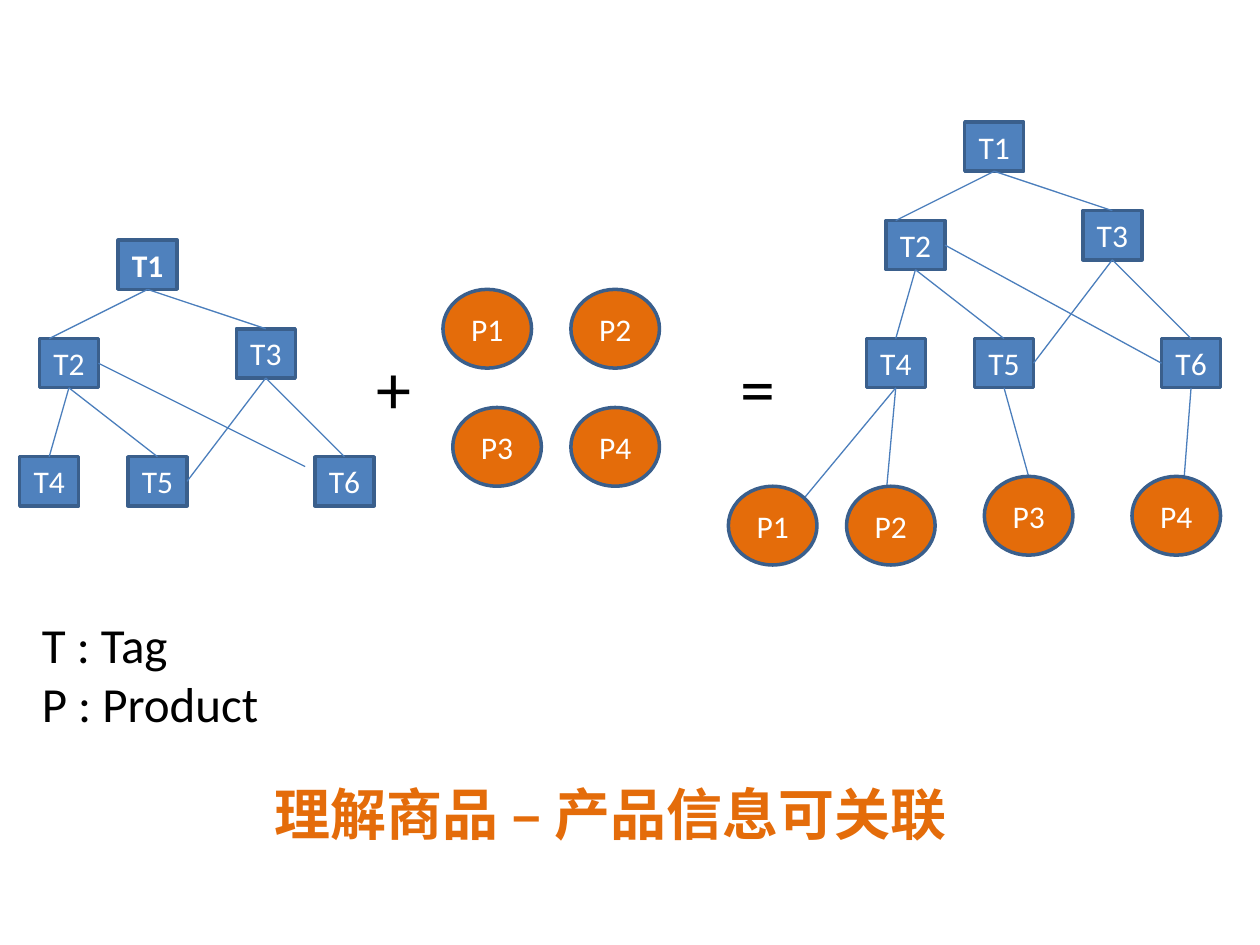
from dataclasses import dataclass

from lxml import etree
from pptx import Presentation, util as u
from pptx.dml.color import RGBColor
from pptx.enum import shapes, text
from pptx.oxml.ns import qn


@dataclass(frozen=True)
class Theme:
    tag: str = "4F81BD"
    product: str = "E46C0A"
    border: str = "3A5F8C"
    link: str = "4B7EBC"
    ink: str = "000000"
    paper: str = "FFFFFF"
    latin: str = "Calibri"
    chinese: str = "Noto Sans CJK SC"
    node_size: int = 18
    legend_size: int = 28
    title_size: int = 32
    sign_size: int = 40


THEME = Theme()
COLUMNS, ROWS = 128, 96
WIDTH, HEIGHT = u.Inches(10), u.Inches(7.5)
TAG_SIZE = (6, 5)
PRODUCT_SIZE = (9, 8)
TOP, LEFT, BOTTOM, RIGHT = range(4)

# Column and row of each tag, from the corner of its tree
TAGS = {"T1": (10, 0), "T2": (2, 10), "T3": (22, 9),
        "T4": (0, 22), "T5": (11, 22), "T6": (30, 22)}
TAG_LINKS = [("T1", BOTTOM, "T3", TOP), ("T2", BOTTOM, "T4", TOP),
             ("T2", BOTTOM, "T5", TOP), ("T3", BOTTOM, "T6", TOP),
             ("T5", RIGHT, "T3", BOTTOM)]


def grid(column, row):
    return round(WIDTH * column / COLUMNS), round(HEIGHT * row / ROWS)


def offset(origin, step):
    return origin[0] + step[0], origin[1] + step[1]


def write(shape, words, size, color=THEME.ink, font=THEME.latin, bold=False,
          align=text.PP_ALIGN.LEFT, anchor=text.MSO_ANCHOR.TOP, wrap=True):
    frame = shape.text_frame
    frame.text = words
    frame.word_wrap = wrap
    frame.auto_size = text.MSO_AUTO_SIZE.NONE
    frame.vertical_anchor = anchor
    for paragraph in frame.paragraphs:
        paragraph.alignment = align
        for run in paragraph.runs:
            run.font.size = u.Pt(size)
            run.font.bold = bold
            run.font.color.rgb = RGBColor.from_string(color)
            run.font.name = font
            east_asian = etree.SubElement(run._r.get_or_add_rPr(), qn("a:ea"))
            east_asian.set("typeface", font)


def add_node(slide, kind, corner, size, label, fill, bold=False):
    node = slide.shapes.add_shape(kind, *grid(*corner), *grid(*size))
    node.shadow.inherit = False
    node.fill.solid()
    node.fill.fore_color.rgb = RGBColor.from_string(fill)
    node.line.color.rgb = RGBColor.from_string(THEME.border)
    node.line.width = u.Pt(2)
    frame = node.text_frame
    frame.margin_left = frame.margin_right = 0
    write(node, label, THEME.node_size, THEME.paper, bold=bold,
          align=text.PP_ALIGN.CENTER, anchor=text.MSO_ANCHOR.MIDDLE)
    return node


def add_link(slide, start, end):
    """Join two ends, each a (node, side) pair or a (column, row) point."""
    glued = [isinstance(joint[0], shapes_base) for joint in (start, end)]
    points = [(0, 0) if is_glued else grid(*joint)
              for is_glued, joint in zip(glued, (start, end))]
    link = slide.shapes.add_connector(shapes.MSO_CONNECTOR.STRAIGHT,
                                      *points[0], *points[1])
    link.line.color.rgb = RGBColor.from_string(THEME.link)
    link.line.width = u.Pt(0.75)
    etree.SubElement(link._element.spPr, qn("a:effectLst"))
    if glued[0]:
        link.begin_connect(*start)
    if glued[1]:
        link.end_connect(*end)
    return link


def add_tag_tree(slide, origin, bold_root=False, t6_end=None):
    """Draw the tag tree; t6_end is where a loose T2-T6 link stops."""
    tags = {name: add_node(slide, shapes.MSO_SHAPE.RECTANGLE,
                           offset(origin, place), TAG_SIZE, name, THEME.tag,
                           bold=bold_root and name == "T1")
            for name, place in TAGS.items()}
    for parent, parent_side, child, child_side in TAG_LINKS:
        add_link(slide, (tags[parent], parent_side), (tags[child], child_side))
    add_link(slide, (tags["T1"], BOTTOM),
             offset(origin, offset(TAGS["T2"], (1, 0))))
    add_link(slide, (tags["T2"], RIGHT),
             offset(origin, t6_end) if t6_end else (tags["T6"], LEFT))
    return tags


def add_product(slide, corner, label):
    return add_node(slide, shapes.MSO_SHAPE.FLOWCHART_CONNECTOR, corner,
                    PRODUCT_SIZE, label, THEME.product)


def add_product_set(slide, origin):
    places = [(0, 0), (13, 0), (1, 12), (13, 12)]
    for number, place in enumerate(places, 1):
        add_product(slide, offset(origin, place), f"P{number}")


def add_linked_tree(slide, origin):
    """Draw the tag tree with products hanging under its leaves."""
    tags = add_tag_tree(slide, origin)
    top_middle = (4.5, 0)
    # Leaf, product corner, and where the link lands within the product
    hangings = [("T4", (-14, 37), (7.7, 1.2)), ("T4", (-2, 37), (4, 1)),
                ("T5", (12, 36), top_middle), ("T6", (27, 36), (5, 4))]
    for number, (leaf, place, landing) in enumerate(hangings, 1):
        corner = offset(origin, place)
        link = add_link(slide, (tags[leaf], BOTTOM), offset(corner, landing))
        product = add_product(slide, corner, f"P{number}")
        if landing == top_middle:
            link.end_connect(product, TOP)


def add_words(slide, corner, size, words, points, **style):
    box = slide.shapes.add_textbox(*grid(*corner), *grid(*size))
    write(box, words, points, **style)


def place_title(slide, corner, size, words):
    title = slide.shapes.title
    title.left, title.top = grid(*corner)
    title.width, title.height = grid(*size)
    write(title, words, THEME.title_size, THEME.product, THEME.chinese,
          bold=True, align=text.PP_ALIGN.RIGHT,
          anchor=text.MSO_ANCHOR.MIDDLE)


def main():
    deck = Presentation()
    deck.slide_width, deck.slide_height = WIDTH, HEIGHT
    slide = deck.slides.add_slide(deck.slide_layouts.get_by_name("Title Only"))

    place_title(slide, (16.6, 77.6), (80.9, 9.9), "理解商品 – 产品信息可关联")
    add_tag_tree(slide, (2, 24.4), bold_root=True, t6_end=(29, 23))
    add_product_set(slide, (45, 29.4))
    add_linked_tree(slide, (88, 12.4))
    for sign, column in (("+", 37), ("=", 74)):
        add_words(slide, (column, 34.4), (7, 9.9), sign, THEME.sign_size)
    add_words(slide, (3, 61.8), (24.8, 13.3), "T : Tag\nP : Product",
              THEME.legend_size, wrap=False)
    deck.save("out.pptx")


from pptx.shapes.base import BaseShape as shapes_base

if __name__ == "__main__":
    main()
